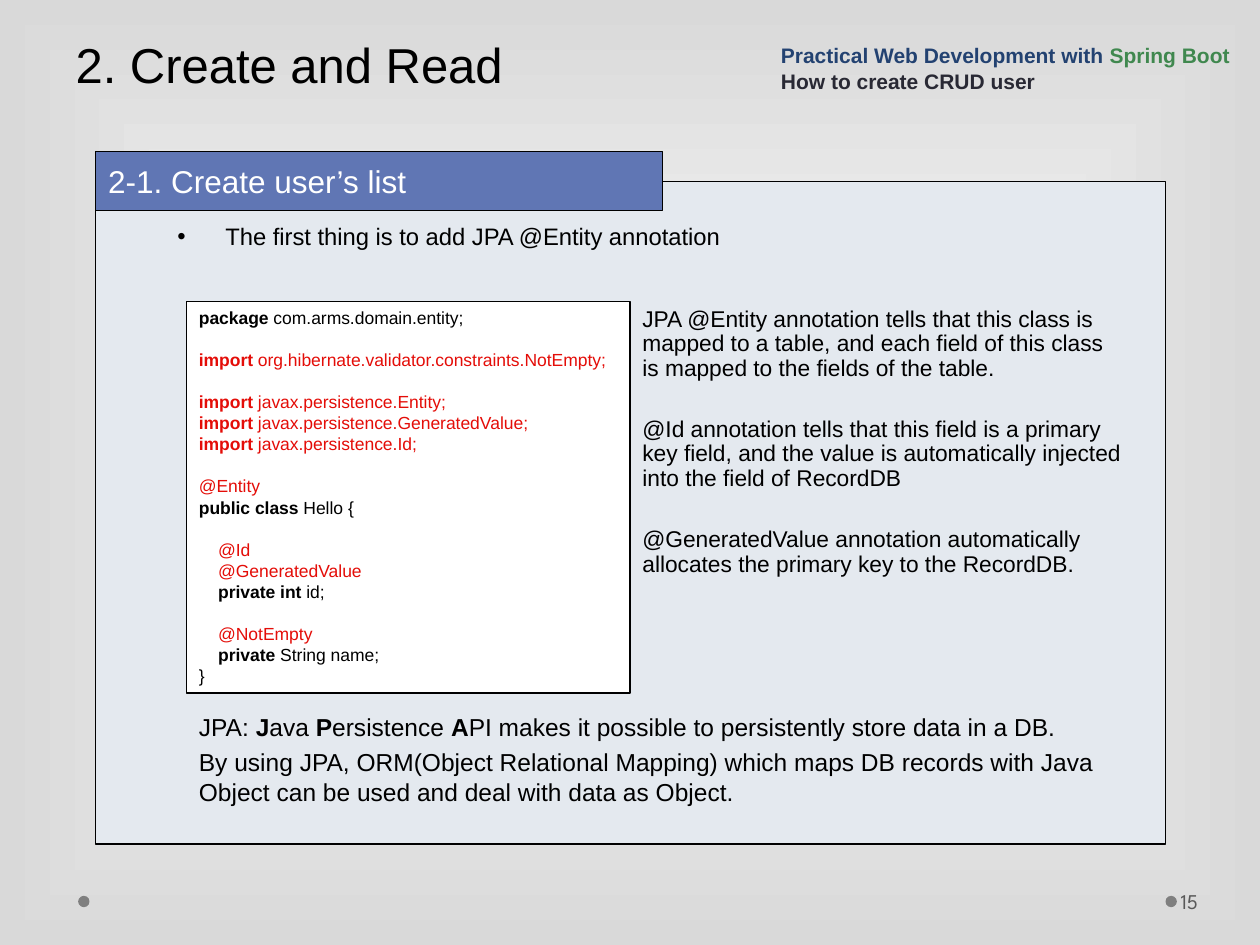
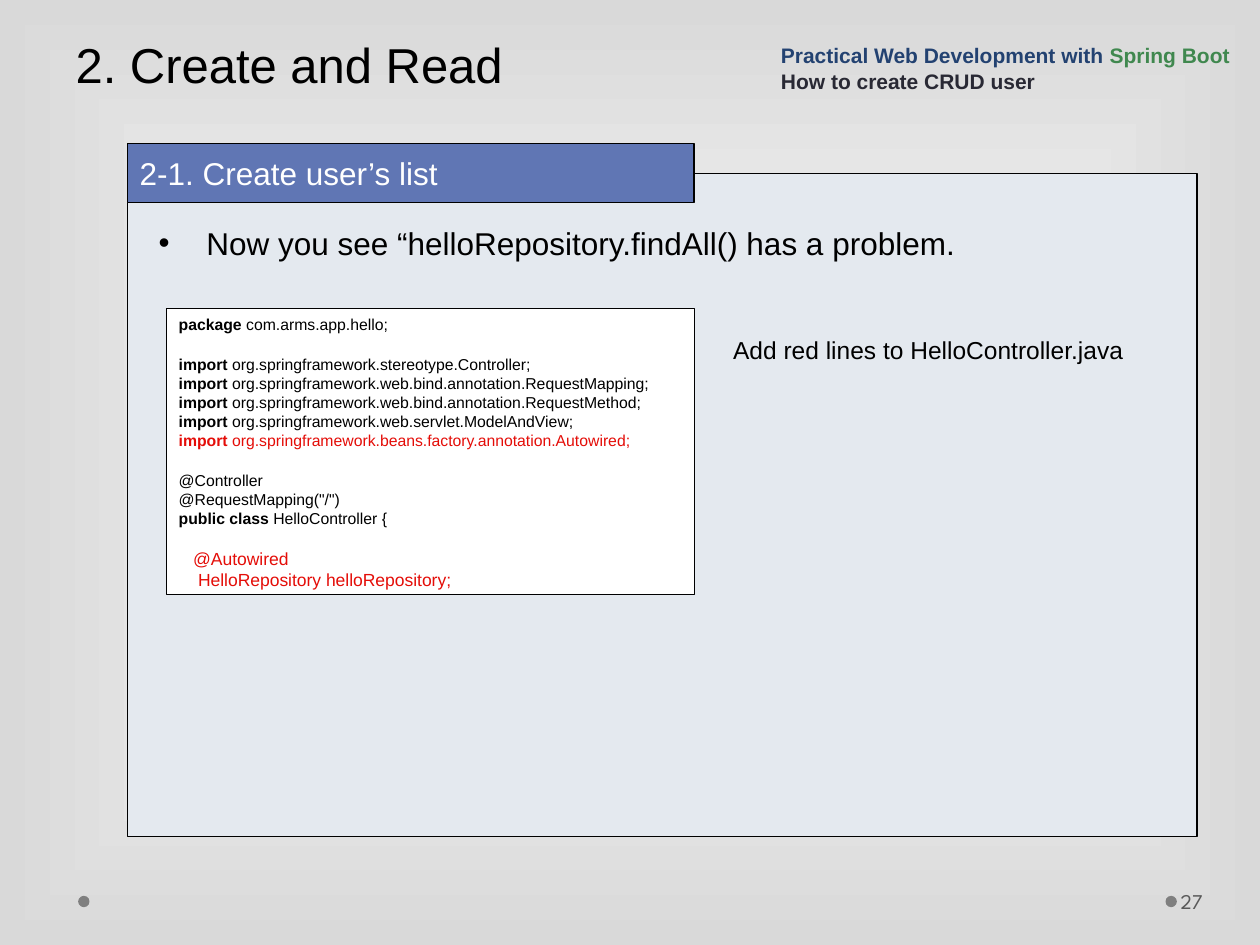
from pptx import Presentation
from pptx.dml.color import RGBColor
from pptx.enum.shapes import MSO_SHAPE
from pptx.enum.text import MSO_ANCHOR, MSO_AUTO_SIZE, PP_ALIGN
from pptx.oxml import parse_xml
from pptx.oxml.ns import nsdecls, qn
from pptx.util import Inches, Pt

RECT, OVAL = MSO_SHAPE.RECTANGLE, MSO_SHAPE.OVAL
TOP, MIDDLE, BOTTOM = MSO_ANCHOR.TOP, MSO_ANCHOR.MIDDLE, MSO_ANCHOR.BOTTOM
LEFT = PP_ALIGN.LEFT
NO_FIT = MSO_AUTO_SIZE.NONE
TITLE_ONLY = 5

COLORS = {
    "black": "000000", "white": "FFFFFF", "edge": "D9D9D9", "dot": "7F7F7F",
    "number": "595959", "panel": "E4E9EF", "tab": "6076B4", "red": "E40D08",
    "navy": "234271", "green": "40884F", "ink": "292934",
}
KEYWORDS = ("package", "import", "public class", "private int", "private")
PANEL_SIZE = (8.49, 5.26)
CODE_GAP = 12  # one blank line of code, in points


def rgb(name):
    return RGBColor.from_string(COLORS[name])


def place(shape, box):
    shape.left, shape.top, shape.width, shape.height = map(Inches, box)


def inside(origin, box):
    """Move a box given relative to origin onto the page."""
    return (origin[0] + box[0], origin[1] + box[1], *box[2:])


def add_bullet(para, indent):
    props = para._p.get_or_add_pPr()
    props.set("marL", str(Inches(indent)))
    props.set("indent", str(-Inches(indent)))
    props.append(parse_xml(f'<a:buFont {nsdecls("a")} typeface="Arial"/>'))
    props.append(parse_xml(f'<a:buChar {nsdecls("a")} char="•"/>'))


def write(shape, paras, size=14, color="black", bold=False, font="Arial",
          anchor=TOP, before=0, spacing=None, bullet=None):
    """Fill a shape; a paragraph is a string or a list of (text, format) spans.

    before is one gap for all later paragraphs, or a list with one per paragraph.
    """
    frame = shape.text_frame
    frame.word_wrap = True
    frame.auto_size = NO_FIT
    frame.vertical_anchor = anchor
    for index, spans in enumerate(paras):
        para = frame.paragraphs[0] if index == 0 else frame.add_paragraph()
        para.alignment = LEFT
        if spacing:
            para.line_spacing = spacing
        gap = before[index] if isinstance(before, list) else before
        para.space_before = Pt(gap if index else 0)
        if bullet:
            add_bullet(para, bullet)
        for text, style in [(spans, {})] if isinstance(spans, str) else spans:
            span = para.add_run()
            span.text = text
            span.font.name = font
            span.font.size = Pt(style.get("size", size))
            span.font.bold = style.get("bold", bold)
            span.font.color.rgb = rgb(style.get("color", color))


def add_text(page, box, paras, **style):
    shape = page.shapes.add_textbox(*map(Inches, box))
    write(shape, paras, **style)
    return shape


def add_block(page, kind, box, fill, outlined=True):
    shape = page.shapes.add_shape(kind, *map(Inches, box))
    shape.shadow.inherit = False
    shape.fill.solid()
    shape.fill.fore_color.rgb = rgb(fill)
    if outlined:
        shape.line.color.rgb = rgb("black")
        shape.line.width = Pt(0.75)
    else:
        shape.line.fill.background()
    return shape


def code_line(text, **style):
    """Split a line of code so that its leading keyword is bold."""
    body = text.lstrip()
    for keyword in KEYWORDS:
        if body.startswith(keyword + " "):
            end = len(text) - len(body) + len(keyword)
            return [(text[:end], {**style, "bold": True}), (text[end:], style)]
    return [(text, style)]


def red(text, **style):
    return code_line(text, color="red", **style)


def add_code(page, box, groups, size):
    """Draw a listing whose groups are parted by one blank line."""
    shape = add_block(page, RECT, box, "white")
    lines, gaps = [], []
    for group in groups:
        for index, line in enumerate(group):
            lines.append(code_line(line) if isinstance(line, str) else line)
            gaps.append(0 if index else CODE_GAP)
    write(shape, lines, size=size, before=gaps)


def set_background(master):
    fill = master.background.fill
    fill.gradient()
    for stop, position, name in zip(fill.gradient_stops, (0, 1), ("white", "edge")):
        stop.position = position
        stop.color.rgb = rgb(name)
    gradient = master.element.find(".//" + qn("a:gradFill"))
    for linear in gradient.findall(qn("a:lin")):
        gradient.remove(linear)
    gradient.append(parse_xml(
        f'<a:path {nsdecls("a")} path="rect">'
        '<a:fillToRect l="50000" t="50000" r="50000" b="50000"/></a:path>'))


def add_page(deck, number):
    """Start a page with its title, course heading and footer."""
    page = deck.slides.add_slide(deck.slide_layouts[TITLE_ONLY])
    title = page.shapes.title
    place(title, (0.5, 0, 9, 0.79))
    write(title, ["2. Create and Read"], size=28, anchor=BOTTOM, spacing=Pt(58))

    # Course heading
    add_text(page, (6.1, 0.24, 3.9, 0.55), [
        [("Practical Web Development with ", {"color": "navy"}),
         ("Spring Boot", {"color": "green"})],
        "How to create CRUD user",
    ], size=12, color="ink", bold=True, anchor=BOTTOM)

    # Footer dots and page number
    for left in (0.62, 9.25):
        add_block(page, OVAL, (left, 7.11, 0.09, 0.09), "dot", outlined=False)
    footer = add_text(page, (9.34, 6.95, 0.61, 0.4), [number], size=12,
                      color="number", font="League Spartan", anchor=MIDDLE)
    footer.text_frame.margin_left = Inches(0.03)
    footer.text_frame.margin_right = Inches(0.05)
    return page


def add_panel(page, origin):
    """Draw the content panel and the section tab on its upper edge."""
    add_block(page, RECT, (*origin, *PANEL_SIZE), "panel")
    tab = add_block(page, RECT, inside(origin, (0, -0.24, 4.5, 0.47)), "tab")
    write(tab, ["2-1. Create user’s list"], size=18, color="white", anchor=MIDDLE)


def build_entity_page(deck, origin):
    page = add_page(deck, "15")
    add_panel(page, origin)
    add_text(page, inside(origin, (0.55, 0.27, 7.39, 0.35)),
             ["The first thing is to add JPA @Entity annotation"],
             size=13.6, bullet=0.38)

    # Entity class
    add_code(page, inside(origin, (0.72, 0.95, 3.52, 3.11)), [
        ["package com.arms.domain.entity;"],
        [red("import org.hibernate.validator.constraints.NotEmpty;")],
        [red("import javax.persistence.Entity;"),
         red("import javax.persistence.GeneratedValue;"),
         red("import javax.persistence.Id;")],
        [red("@Entity"), "public class Hello {"],
        [red("    @Id"), red("    @GeneratedValue"), "    private int id;"],
        [red("    @NotEmpty"), "    private String name;", "}"],
    ], size=10)

    # What each annotation does
    add_text(page, inside(origin, (4.24, 0.95, 4.01, 2.84)), [
        "JPA @Entity annotation tells that this class is mapped to a table, and "
        "each field of this class is mapped to the fields of the table.",
        "@Id annotation tells that this field is a primary key field, and the "
        "value is automatically injected into the field of RecordDB",
        "@GeneratedValue annotation automatically allocates the primary key to "
        "the RecordDB.",
    ], size=13, before=20.8, spacing=0.9)

    # Meaning of JPA
    strong = {"bold": True}
    add_text(page, inside(origin, (0.72, 4.16, 7.35, 0.87)), [
        [("JPA: ", {}), ("J", strong), ("ava ", {}), ("P", strong),
         ("ersistence ", {}), ("A", strong),
         ("PI makes it possible to persistently store data in a DB.", {})],
        "By using JPA, ORM(Object Relational Mapping) which maps DB records with "
        "Java Object can be used and deal with data as Object.",
    ], before=3.5)


def build_controller_page(deck, origin):
    page = add_page(deck, "27")
    add_panel(page, origin)
    add_text(page, inside(origin, (0.15, 0.35, 7.39, 0.73)),
             ["Now you see “helloRepository.findAll() has a problem."],
             size=18, bullet=0.38)
    add_text(page, inside(origin, (4.71, 1.23, 3.36, 1.53)),
             ["Add red lines to HelloController.java"])

    # Controller class
    add_code(page, inside(origin, (0.31, 1.07, 4.19, 2.27)), [
        ["package com.arms.app.hello;"],
        ["import org.springframework.stereotype.Controller;",
         "import org.springframework.web.bind.annotation.RequestMapping;",
         "import org.springframework.web.bind.annotation.RequestMethod;",
         "import org.springframework.web.servlet.ModelAndView;",
         red("import org.springframework.beans.factory.annotation.Autowired;")],
        ["@Controller", '@RequestMapping("/")', "public class HelloController {"],
        [red("   @Autowired", size=10),
         red("    HelloRepository helloRepository;", size=10)],
    ], size=9)


def main():
    deck = Presentation()
    deck.slide_width, deck.slide_height = Inches(10), Inches(7.5)
    set_background(deck.slide_master)
    build_entity_page(deck, (0.76, 1.44))
    build_controller_page(deck, (1.01, 1.38))
    deck.save("out.pptx")


if __name__ == "__main__":
    main()
